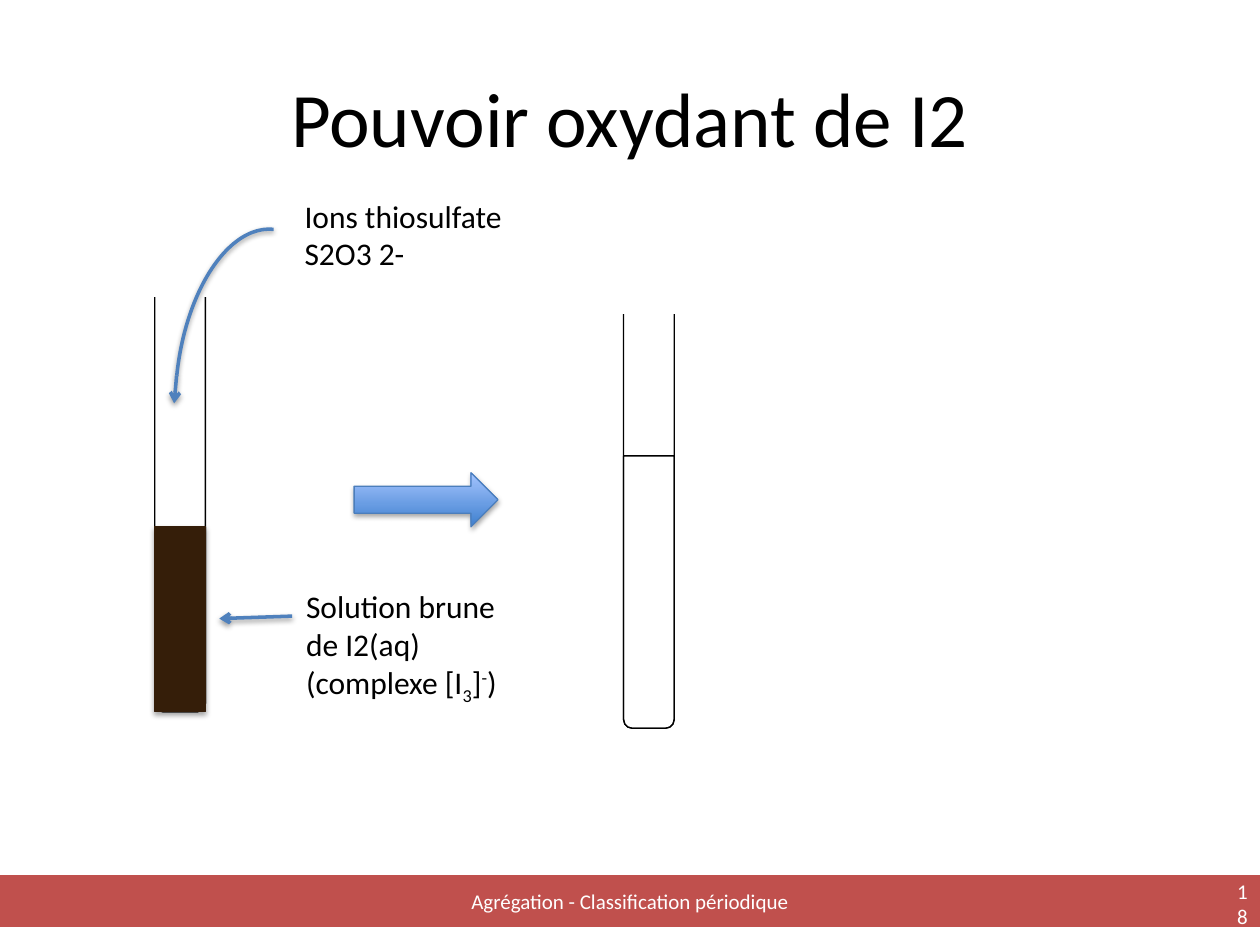
from dataclasses import dataclass

from lxml.etree import SubElement
from pptx import Presentation
from pptx.dml.color import RGBColor as RGB
from pptx.enum.shapes import MSO_CONNECTOR as LINK, MSO_SHAPE as SHAPE
from pptx.enum.text import MSO_ANCHOR as ANCHOR, PP_ALIGN as ALIGN
from pptx.oxml.ns import qn
from pptx.util import Cm, Pt


@dataclass(frozen=True)
class Theme:
    font: str = "Calibri"
    ink: str = "000000"
    paper: str = "FFFFFF"
    band: str = "C0504D"
    arrow: str = "4F81BD"
    block_edge: str = "4B7EBC"
    block_dark: str = "3F80CE"
    block_light: str = "A4C4FF"
    brown: str = "351E09"
    title_size: int = 44
    text_size: int = 18
    footer_size: int = 12
    thin: float = 0.75
    thick: float = 2


# Shadow settings: opacity (%), blur and distance (pt)
LINE_SHADOW = (38, 3.1, 1.6)
BLOCK_SHADOW = (35, 3.1, 1.8)


class SlideBuilder:
    def __init__(self, prs, theme):
        self.theme = theme
        self.s = prs.slides.add_slide(prs.slide_layouts[5])

    def put_runs(self, sp, runs, size, color, align=ALIGN.LEFT, anchor=ANCHOR.TOP):
        """Fill a shape with one paragraph of (text, baseline %) runs."""
        tf = sp.text_frame
        tf.word_wrap = True
        tf.vertical_anchor = anchor
        p = tf.paragraphs[0]
        p.alignment = align
        style = {"name": self.theme.font, "size": Pt(size)}
        for text, baseline in runs:
            r = p.add_run()
            r.text = text
            for key, value in style.items():
                setattr(r.font, key, value)
            r.font.color.rgb = RGB.from_string(color)
            if baseline:
                r._r.get_or_add_rPr().set("baseline", str(baseline * 1000))

    def title(self, text, box):
        sp = self.s.shapes.title
        for key, value in zip(("left", "top", "width", "height"), box):
            setattr(sp, key, Cm(value))
        self.put_runs(sp, [(text, 0)], self.theme.title_size, self.theme.ink,
                      ALIGN.CENTER, ANCHOR.MIDDLE)

    def text(self, runs, box, size=None, color=None, **layout):
        sp = self.s.shapes.add_textbox(*map(Cm, box))
        self.put_runs(sp, runs, size or self.theme.text_size,
                      color or self.theme.ink, **layout)

    def stroke(self, sp, color, width):
        sp.line.color.rgb = RGB.from_string(color)
        sp.line.width = Pt(width)

    def effects(self, sp, shadow):
        """Set a downward shadow, or an empty effect list for none."""
        effects = SubElement(sp._element.spPr, qn("a:effectLst"))
        if shadow:
            opacity, blur, dist = shadow
            outer = SubElement(effects, qn("a:outerShdw"), blurRad=str(Pt(blur)),
                               dist=str(Pt(dist)), dir="5400000", rotWithShape="0")
            color = SubElement(outer, qn("a:srgbClr"), val=self.theme.ink)
            SubElement(color, qn("a:alpha"), val=str(opacity * 1000))

    def shape(self, kind, box, line, fill=None, width=None, rotation=0, shadow=None):
        """Draw a preset shape; a pair of fill colours is a gradient going up."""
        sp = self.s.shapes.add_shape(kind, *map(Cm, box))
        sp.rotation = rotation
        if fill is None:
            sp.fill.background()
        elif isinstance(fill, tuple):
            sp.fill.gradient()
            sp.fill.gradient_angle = 90
            for stop, color in zip(sp.fill.gradient_stops, fill):
                stop.color.rgb = RGB.from_string(color)
        else:
            sp.fill.solid()
            sp.fill.fore_color.rgb = RGB.from_string(fill)
        self.stroke(sp, line, width or self.theme.thin)
        self.effects(sp, shadow)
        return sp

    def arrow(self, start, end):
        cx = self.s.shapes.add_connector(LINK.STRAIGHT, *map(Cm, start + end))
        self.stroke(cx, self.theme.arrow, self.theme.thick)
        SubElement(cx.line._get_or_add_ln(), qn("a:tailEnd"), type="arrow")
        self.effects(cx, LINE_SHADOW)

    def test_tube(self, left, top, level):
        """Draw a tube open at the top, holding liquid up to the given height."""
        width, height, rim = 1.02, 8.74, 0.51
        for h in (height, level):
            self.shape(SHAPE.ROUND_2_SAME_RECTANGLE,
                       (left, top + height - h, width, h),
                       self.theme.ink, rotation=180)
        self.shape(SHAPE.RECTANGLE, (left - rim, top - 0.27, width + 2 * rim, 0.64),
                   self.theme.paper, self.theme.paper)

    def footer(self, text, number):
        t = self.theme
        band = self.shape(SHAPE.RECTANGLE, (0, 17.65, 25.4, 1.02), t.band, t.band)
        self.put_runs(band, [(text, 0)], t.footer_size, t.paper,
                      ALIGN.CENTER, ANCHOR.MIDDLE)
        self.text([(number, 0)], (24.69, 17.7, 0.71, 1.02), t.footer_size, t.paper,
                  align=ALIGN.RIGHT, anchor=ANCHOR.MIDDLE)


def main():
    prs = Presentation()
    prs.slide_width, prs.slide_height = Cm(25.4), Cm(19.05)
    t = Theme()
    b = SlideBuilder(prs, t)

    b.title("Pouvoir oxydant de I2", (1.27, 0.76, 22.86, 3.18))
    b.footer("Agrégation - Classification périodique", "18")

    b.test_tube(3.12, 5.61, 3.73)
    b.text([("Solution brune de I2(aq) (complexe [I", 0), ("3", -25), ("]", 0),
            ("-", 30), (")", 0)], (5.92, 11.71, 4.6, 2.57))

    b.shape(SHAPE.ARC, (2.06, 6.1, 6.27, 3.28), t.arrow, width=t.thick,
            rotation=275.9, shadow=LINE_SHADOW)
    b.arrow((3.56, 7.57), (3.51, 8.13))

    b.test_tube(12.57, 5.94, 5.49)
    b.shape(SHAPE.RIGHT_ARROW, (7.14, 9.53, 2.9, 1.09), t.block_edge,
            (t.block_dark, t.block_light), shadow=BLOCK_SHADOW)
    b.text([("Ions thiosulfate S2O3 2-", 0)], (5.89, 3.84, 4.6, 1.8))
    b.arrow((5.89, 12.42), (4.42, 12.47))
    b.shape(SHAPE.RECTANGLE, (3.12, 10.62, 1.02, 3.73), t.brown, t.brown,
            shadow=BLOCK_SHADOW)

    prs.save("out.pptx")


if __name__ == "__main__":
    main()
